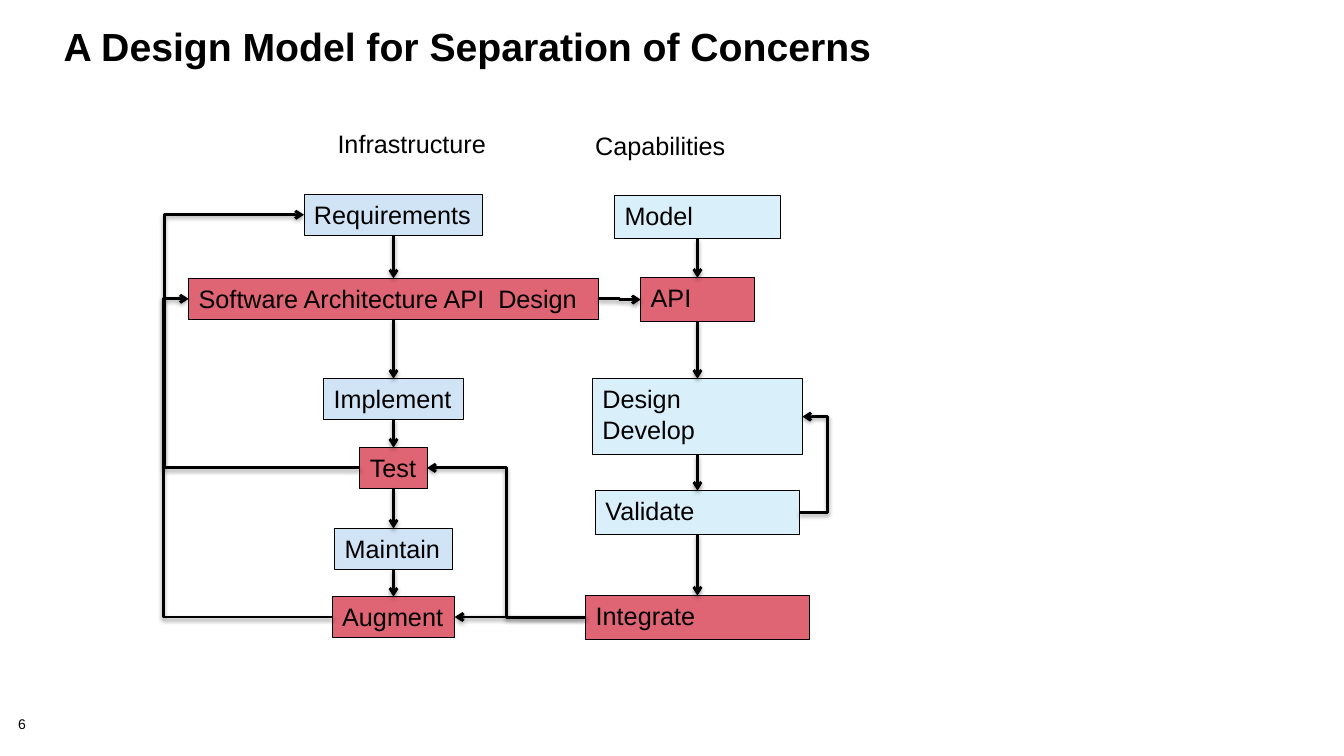
"""Build a slide of two linked development flows, infrastructure and capabilities."""
from dataclasses import dataclass
from typing import Optional

from lxml import etree
from pptx import Presentation
from pptx.dml.color import RGBColor
from pptx.enum.shapes import MSO_CONNECTOR, MSO_SHAPE
from pptx.enum.text import MSO_ANCHOR, MSO_AUTO_SIZE, PP_ALIGN
from pptx.oxml import parse_xml
from pptx.oxml.ns import nsdecls, qn
from pptx.shapes.autoshape import Shape
from pptx.shapes.connector import Connector
from pptx.slide import Slide
from pptx.text.text import TextFrame
from pptx.util import Pt

STRAIGHT, ELBOW = MSO_CONNECTOR.STRAIGHT, MSO_CONNECTOR.ELBOW
RECTANGLE = MSO_SHAPE.RECTANGLE
TOP_ANCHOR = MSO_ANCHOR.TOP
FIT_SHAPE, NO_FIT = MSO_AUTO_SIZE.SHAPE_TO_FIT_TEXT, MSO_AUTO_SIZE.NONE
ALIGN_LEFT = PP_ALIGN.LEFT
TOP, LEFT, BOTTOM, RIGHT = range(4)
FONT = "Arial"
COLORS = {
    "black": "000000",
    "infrastructure": "D1E4F5",
    "capability": "D9EFFA",
    "shared": "DF6474",
}


@dataclass(frozen=True)
class Step:
    """A box in a column, with its top, width and fill."""
    text: str
    top: float
    width: float
    fill: str


@dataclass(frozen=True)
class Column:
    """A chain of steps centred on one vertical line."""
    center: float
    line_height: float
    steps: tuple[Step, ...]


@dataclass(frozen=True)
class Link:
    """A bent arrow between two steps, turning at bend_x if given."""
    source: str
    source_side: int
    target: str
    target_side: int
    bend_x: Optional[float] = None


@dataclass(frozen=True)
class Label:
    """A plain text and its box."""
    text: str
    left: float
    top: float
    width: float
    height: float


COLUMNS = (
    Column(281.1, 29.1, (
        Step("Requirements", 138.9, 127.8, "infrastructure"),
        Step("Software Architecture API  Design", 198.9, 292.5, "shared"),
        Step("Implement", 270.5, 99.6, "infrastructure"),
        Step("Test", 319.7, 48, "shared"),
        Step("Maintain", 377.5, 83.8, "infrastructure"),
        Step("Augment", 426.2, 87.5, "shared"),
    )),
    Column(498.2, 31.2, (
        Step("Model", 139.5, 118.4, "capability"),
        Step("API", 198.4, 81, "shared"),
        Step("Design\nDevelop", 270.5, 150, "capability"),
        Step("Validate", 350.5, 145.7, "capability"),
        Step("Integrate", 425.4, 159.5, "shared"),
    )),
)
LINKS = (
    Link("Augment", LEFT, "Software Architecture API  Design", LEFT, 116.7),
    Link("Validate", RIGHT, "Design\nDevelop", RIGHT, 591),
    Link("Integrate", LEFT, "Augment", RIGHT),
    Link("Software Architecture API  Design", RIGHT, "API", LEFT),
    Link("Test", LEFT, "Requirements", LEFT, 117.6),
    Link("Integrate", LEFT, "Test", RIGHT),
)
LABELS = (
    Label("Infrastructure", 234, 88.4, 121.7, 29.1),
    Label("Capabilities", 418, 89.5, 108.7, 29.1),
)
SECOND_LINE = 23.1


def color(name: str) -> RGBColor:
    """Return the named colour."""
    return RGBColor.from_string(COLORS[name])


def write(frame: TextFrame, text: str, size: float) -> None:
    """Fill a frame with left-aligned black text that starts at the top."""
    frame.text = text
    frame.vertical_anchor = TOP_ANCHOR
    for para in frame.paragraphs:
        para.alignment = ALIGN_LEFT
        para.font.name = FONT
        para.font.size = Pt(size)
        para.font.color.rgb = color("black")


def write_fitted(frame: TextFrame, text: str) -> None:
    """Fill a frame with unwrapped diagram text."""
    write(frame, text, 18)
    frame.word_wrap = False
    frame.auto_size = FIT_SHAPE


def add_step(page: Slide, column: Column, step: Step) -> Shape:
    """Draw one step box on the centre line of its column."""
    height = column.line_height + SECOND_LINE * step.text.count("\n")
    box = page.shapes.add_shape(
        RECTANGLE, Pt(column.center - step.width / 2), Pt(step.top),
        Pt(step.width), Pt(height))
    box.shadow.inherit = False
    box.fill.solid()
    box.fill.fore_color.rgb = color(step.fill)
    box.line.color.rgb = color("black")
    box.line.width = Pt(0.75)
    write_fitted(box.text_frame, step.text)
    return box


def add_arrow(page: Slide, kind: int, source: Shape, source_side: int,
              target: Shape, target_side: int) -> Connector:
    """Join two boxes with a shadowed arrow."""
    arrow = page.shapes.add_connector(kind, 0, 0, 0, 0)
    arrow.begin_connect(source, source_side)
    arrow.end_connect(target, target_side)
    arrow.line.color.rgb = color("black")
    arrow.line.width = Pt(2)
    properties = arrow.element.spPr
    etree.SubElement(properties.find(qn("a:ln")), qn("a:tailEnd"), type="arrow")
    properties.append(parse_xml(
        f'<a:effectLst {nsdecls("a")}><a:outerShdw blurRad="{Pt(3.15)}" '
        f'dist="{Pt(1.57)}" dir="5400000" rotWithShape="0">'
        f'<a:srgbClr val="{COLORS["black"]}"><a:alpha val="38000"/></a:srgbClr>'
        '</a:outerShdw></a:effectLst>'))
    return arrow


def bend(arrow: Connector, bend_x: float) -> None:
    """Move the turn of a bent arrow to a horizontal position."""
    ratio = (Pt(bend_x) - arrow.begin_x) / (arrow.end_x - arrow.begin_x)
    geometry = arrow.element.spPr.find(qn("a:prstGeom"))
    guides = geometry.find(qn("a:avLst"))
    if guides is None:
        guides = etree.SubElement(geometry, qn("a:avLst"))
    etree.SubElement(guides, qn("a:gd"), name="adj1",
                     fmla=f"val {round(ratio * 100000)}")


def add_label(page: Slide, label: Label) -> TextFrame:
    """Add an empty text box for a label and return its frame."""
    box = page.shapes.add_textbox(
        Pt(label.left), Pt(label.top), Pt(label.width), Pt(label.height))
    return box.text_frame


def add_title(page: Slide, text: str) -> None:
    """Place and format the title."""
    title = page.shapes.title
    title.left, title.top = Pt(38.2), Pt(17.3)
    title.width, title.height = Pt(760.3), Pt(48.2)
    frame = title.text_frame
    write(frame, text, 28)
    frame.auto_size = NO_FIT
    frame.paragraphs[0].font.bold = True
    frame.paragraphs[0].line_spacing = 0.85


def add_page_number(page: Slide, label: Label) -> None:
    """Add the page number without margins."""
    frame = add_label(page, label)
    write(frame, label.text, 10)
    frame.word_wrap = True
    frame.margin_left = frame.margin_right = 0
    frame.margin_top = frame.margin_bottom = 0
    frame.paragraphs[0].line_spacing = 0.9


def main() -> None:
    """Build and save the deck."""
    deck = Presentation()
    deck.slide_width, deck.slide_height = Pt(960), Pt(540)
    page = deck.slides.add_slide(deck.slide_layouts[5])
    add_title(page, "A Design Model for Separation of Concerns")
    add_page_number(page, Label("6", 13, 512.6, 40.3, 11.5))
    boxes: dict[str, Shape] = {}
    for column in COLUMNS:
        chain = [add_step(page, column, step) for step in column.steps]
        boxes.update((step.text, box) for step, box in zip(column.steps, chain))
        for upper, lower in zip(chain, chain[1:]):
            add_arrow(page, STRAIGHT, upper, BOTTOM, lower, TOP)
    for link in LINKS:
        arrow = add_arrow(page, ELBOW, boxes[link.source], link.source_side,
                          boxes[link.target], link.target_side)
        if link.bend_x is not None:
            bend(arrow, link.bend_x)
    for label in LABELS:
        write_fitted(add_label(page, label), label.text)
    deck.save("out.pptx")


if __name__ == "__main__":
    main()
